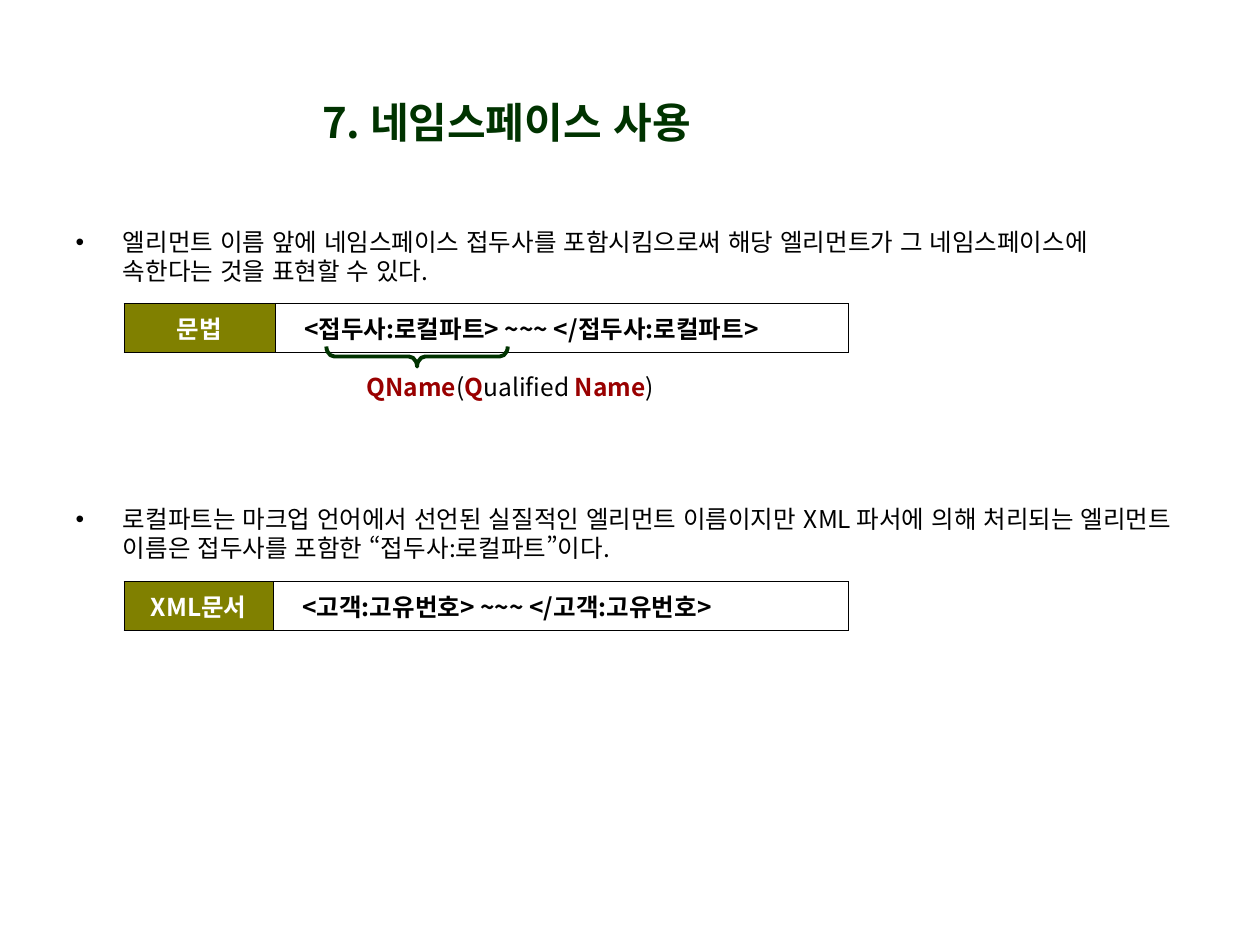
from dataclasses import dataclass
from typing import NamedTuple

from lxml.etree import SubElement
from pptx import Presentation
from pptx.dml.color import RGBColor
from pptx.enum.lang import MSO_LANGUAGE_ID
from pptx.enum.shapes import MSO_SHAPE
from pptx.enum.text import MSO_ANCHOR, MSO_AUTO_SIZE, PP_ALIGN
from pptx.oxml import parse_xml
from pptx.oxml.ns import nsdecls, qn
from pptx.util import Inches, Pt


@dataclass(frozen=True)
class Theme:
    font: str = "Noto Sans CJK KR"
    ink: str = "000000"
    paper: str = "FFFFFF"
    green: str = "003300"
    olive: str = "808000"
    red: str = "990000"
    title_size: float = 24
    text_size: float = 14
    rule_width: float = 0.45
    brace_width: float = 2.25


class Box(NamedTuple):
    col: float
    row: float
    cols: float
    rows: float


class Run(NamedTuple):
    text: str
    color: str
    bold: bool = False
    size: float = Theme.text_size


class Section(NamedTuple):
    body_row: float
    table_row: float
    label_cols: float
    body: str
    label: str
    code: str


THEME = Theme()
COLUMNS, ROWS = 100, 75
TABLE_LEFT, TABLE_COLS, TABLE_ROWS = 9.84, 57.5, 3.4
SECTIONS = (
    Section(17.5, 24.1, 12,
            "엘리먼트 이름 앞에 네임스페이스 접두사를 포함시킴으로써 해당 엘리먼트가 그 네임스페이스에 속한다는 것을 표현할 수 있다.",
            "문법", "<접두사:로컬파트> ~~~ </접두사:로컬파트>"),
    Section(39.5, 46.15, 11.85,
            "로컬파트는 마크업 언어에서 선언된 실질적인 엘리먼트 이름이지만 XML 파서에 의해 처리되는 엘리먼트 이름은 접두사를 포함한 “접두사:로컬파트”이다.",
            "XML문서", "<고객:고유번호> ~~~ </고객:고유번호>"),
)

prs = Presentation()
prs.slide_width, prs.slide_height = Inches(10), Inches(7.5)


def across(cols: float) -> int:
    return round(prs.slide_width * cols / COLUMNS)


def down(rows: float) -> int:
    return round(prs.slide_height * rows / ROWS)


def place(box: Box) -> tuple[int, int, int, int]:
    return across(box.col), down(box.row), across(box.cols), down(box.rows)


def apply(target, formats: dict) -> None:
    for name, value in formats.items():
        setattr(target, name, value)


def write(tf, runs: list[Run], align=PP_ALIGN.LEFT):
    p = tf.paragraphs[0]
    p.alignment = align
    for run in runs:
        r = p.add_run()
        r.text = run.text
        apply(r.font, {"name": THEME.font, "size": Pt(run.size), "bold": run.bold,
                       "language_id": MSO_LANGUAGE_ID.KOREAN})
        r.font.color.rgb = RGBColor.from_string(run.color)
        r.font._element.set("kern", "0")
        SubElement(r.font._element, qn("a:ea"), typeface=THEME.font)
    return p


def fill_placeholder(sp, box: Box, runs: list[Run], anchor, align):
    apply(sp, dict(zip(("left", "top", "width", "height"), place(box))))
    apply(sp.text_frame, {"auto_size": MSO_AUTO_SIZE.NONE, "word_wrap": True,
                          "vertical_anchor": anchor})
    return write(sp.text_frame, runs, align)


def add_body(sp, section: Section) -> None:
    p = fill_placeholder(sp, Box(5, section.body_row, 89.9, 5.9),
                         [Run(section.body, THEME.ink)], MSO_ANCHOR.TOP, PP_ALIGN.LEFT)
    apply(p, {"space_before": Pt(3.5), "line_spacing": 1.0})
    indent = across(3.75)
    p._p.get_or_add_pPr().set("marL", str(indent))
    p._p.get_or_add_pPr().set("indent", str(-indent))


def style_cell(cell, fill: str) -> None:
    cell.fill.solid()
    cell.fill.fore_color.rgb = RGBColor.from_string(fill)
    for i, side in enumerate("LRTB"):
        cell._tc.get_or_add_tcPr().insert(i, parse_xml(
            f'<a:ln{side} {nsdecls("a")} w="{Pt(THEME.rule_width)}"><a:solidFill>'
            f'<a:srgbClr val="{THEME.ink}"/></a:solidFill></a:ln{side}>'))


def add_syntax_table(s, section: Section) -> None:
    box = Box(TABLE_LEFT, section.table_row, TABLE_COLS, TABLE_ROWS)
    table = s.shapes.add_table(1, 2, *place(box)).table
    apply(table, {"first_row": False, "horz_banding": False})
    table.columns[0].width = across(section.label_cols)
    table.columns[1].width = across(TABLE_COLS - section.label_cols)
    label, code = table.rows[0].cells
    style_cell(label, THEME.olive)
    style_cell(code, THEME.paper)
    code.margin_left = across(2.3)
    write(label.text_frame, [Run(section.label, THEME.paper, True)], PP_ALIGN.CENTER)
    write(code.text_frame, [Run(section.code, THEME.ink, True)])


def add_brace(s, box: Box) -> None:
    sp = s.shapes.add_shape(MSO_SHAPE.RIGHT_BRACE, *place(box))
    sp.rotation = 90
    sp.adjustments[0] = 0.4
    sp.shadow.inherit = False
    sp.fill.background()
    sp.line.width = Pt(THEME.brace_width)
    sp.line.color.rgb = RGBColor.from_string(THEME.green)


def add_caption(s, box: Box, runs: list[Run]) -> None:
    tf = s.shapes.add_textbox(*place(box)).text_frame
    apply(tf, {"word_wrap": False, "vertical_anchor": MSO_ANCHOR.MIDDLE})
    write(tf, runs, PP_ALIGN.CENTER)


def main() -> None:
    s = prs.slides.add_slide(prs.slide_layouts.get_by_name("Two Content"))
    title, *bodies = s.placeholders
    fill_placeholder(title, Box(10.6, 6.2, 59.2, 6.9),
                     [Run("7. 네임스페이스 사용", THEME.green, True, THEME.title_size)],
                     MSO_ANCHOR.MIDDLE, PP_ALIGN.CENTER)
    for sp, section in zip(bodies, SECTIONS):
        add_body(sp, section)
        add_syntax_table(s, section)
    add_brace(s, Box(32.3, 21.1, 1.6, 14.4))
    parts = (("QName", True), ("(", False), ("Q", True),
             ("ualified ", False), ("Name", True), (")", False))
    add_caption(s, Box(27.5, 29.5, 26, 2.4),
                [Run(text, THEME.red if strong else THEME.ink, strong)
                 for text, strong in parts])
    prs.save("out.pptx")


if __name__ == "__main__":
    main()
